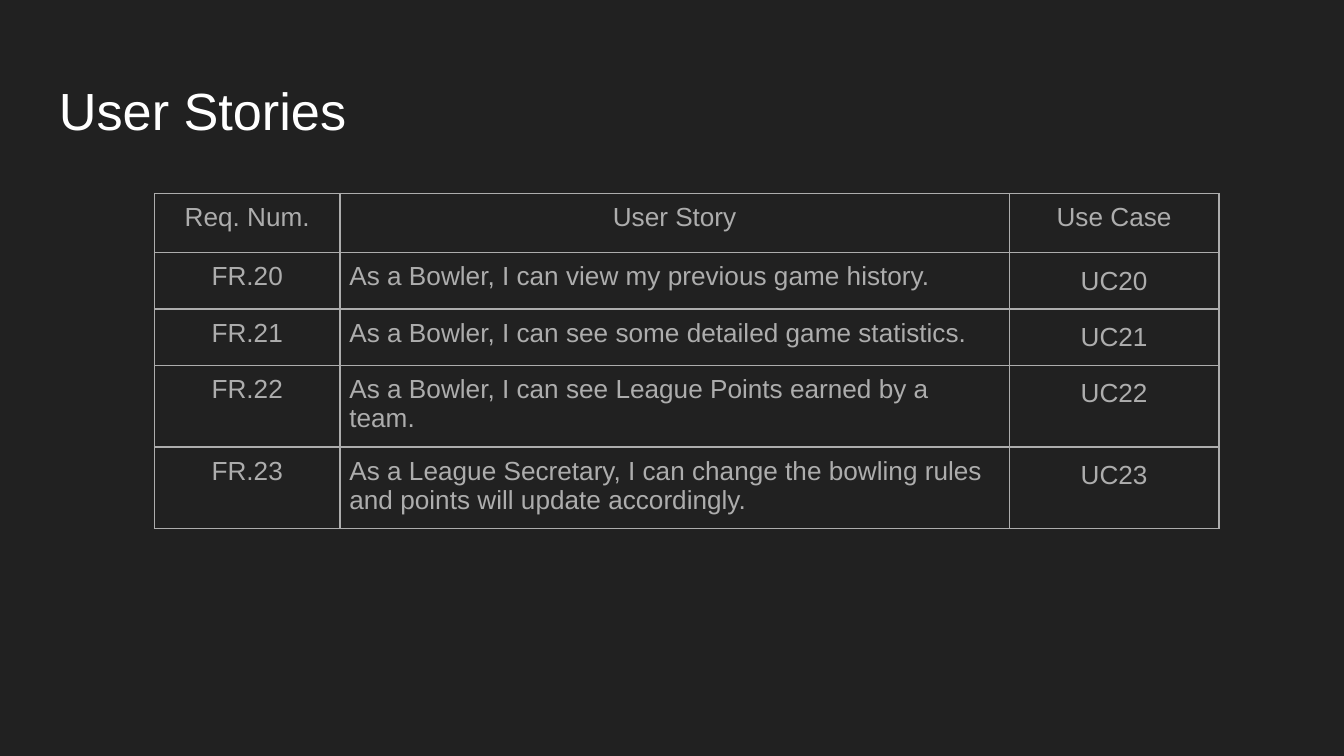
from lxml.etree import SubElement
from pptx import Presentation
from pptx.dml.color import RGBColor
from pptx.enum.text import PP_ALIGN
from pptx.oxml.ns import qn
from pptx.util import Inches, Pt

GREY = "ADADAD"


def color(hex_value):
    return RGBColor.from_string(hex_value)


def add_borders(cell):
    """Draw a 1 pt line on all four sides; call before setting the fill."""
    properties = cell._tc.get_or_add_tcPr()
    for side in ("lnL", "lnR", "lnT", "lnB"):
        line = SubElement(properties, qn(f"a:{side}"), w=str(Pt(1)))
        fill = SubElement(line, qn("a:solidFill"))
        SubElement(fill, qn("a:srgbClr"), val=GREY)


# Widescreen 16:9 slide
presentation = Presentation()
presentation.slide_width = Inches(10)
presentation.slide_height = Inches(10) * 9 // 16
slide = presentation.slides.add_slide(presentation.slide_layouts[6])
slide.background.fill.solid()
slide.background.fill.fore_color.rgb = color("212121")

# Title
title = slide.shapes.add_textbox(Inches(0.34), Inches(0.48), Inches(9.32), Inches(0.63))
text_frame = title.text_frame
text_frame.word_wrap = True
text_frame.margin_left = text_frame.margin_right = Inches(0.1)
text_frame.margin_top = text_frame.margin_bottom = Inches(0.1)
text_frame.text = "User Stories"
font = text_frame.paragraphs[0].runs[0].font
font.name = "Arial"
font.size = Pt(28)
font.color.rgb = color("FFFFFF")

# User story table
stories = [
    ("Req. Num.", "User Story", "Use Case"),
    ("FR.20", "As a Bowler, I can view my previous game history.", "UC20"),
    ("FR.21", "As a Bowler, I can see some detailed game statistics.", "UC21"),
    ("FR.22", "As a Bowler, I can see League Points earned by a team.", "UC22"),
    ("FR.23", "As a League Secretary, I can change the bowling rules "
              "and points will update accordingly.", "UC23"),
]
column_widths = [1.38, 4.98, 1.56]
row_heights = [0.44] + [0.42] * 4

table_frame = slide.shapes.add_table(
    len(stories), len(column_widths), Inches(1.15), Inches(1.44),
    Inches(sum(column_widths)), Inches(sum(row_heights)))
table = table_frame.table
table.first_row = False
table.horz_banding = False
for column, width in zip(table.columns, column_widths):
    column.width = Inches(width)
for row, height in zip(table.rows, row_heights):
    row.height = Inches(height)
# The rows grow with their text, so the frame size is set independently
table_frame.width = table_frame.height = Inches(3.28)

for row_index, story in enumerate(stories):
    for column_index, text in enumerate(story):
        cell = table.cell(row_index, column_index)
        add_borders(cell)
        cell.fill.background()
        cell.margin_left = cell.margin_right = Inches(0.07)
        cell.margin_top = cell.margin_bottom = Inches(0.07)
        cell.text_frame.text = text
        paragraph = cell.text_frame.paragraphs[0]
        is_body = row_index > 0
        is_story = is_body and column_index == 1
        paragraph.alignment = PP_ALIGN.LEFT if is_story else PP_ALIGN.CENTER
        if is_body and column_index == 2:
            paragraph.line_spacing = 1.15
        font = paragraph.runs[0].font
        font.name = "Arial"
        font.size = Pt(14)
        font.color.rgb = color(GREY)

presentation.save("out.pptx")
